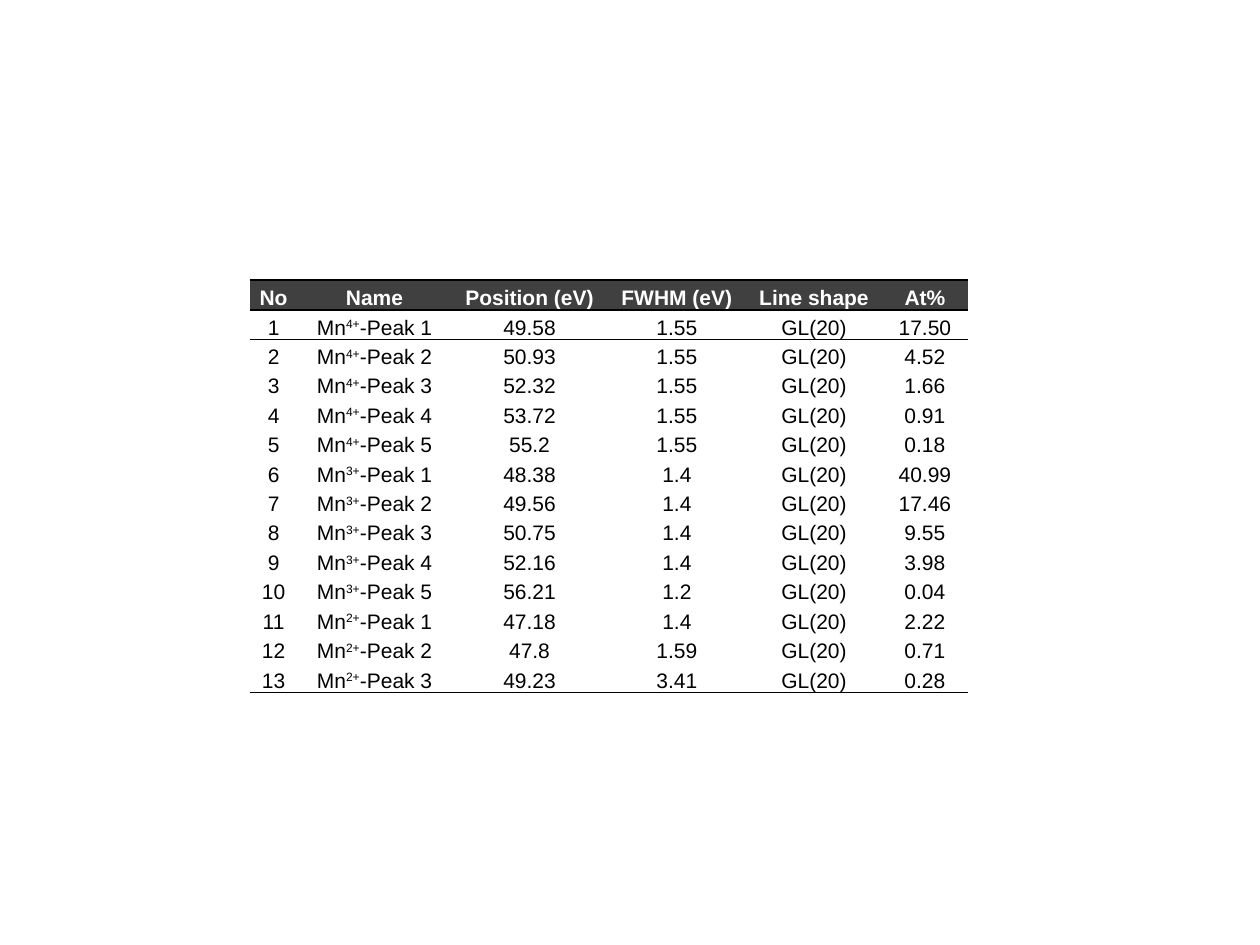
from lxml.etree import SubElement
from pptx import Presentation
from pptx.dml.color import RGBColor
from pptx.enum.text import MSO_ANCHOR, PP_ALIGN
from pptx.oxml.ns import qn
from pptx.util import Cm, Pt

COLORS = {"head": "404040", "light": "FFFFFF", "dark": "000000"}
PLAIN = "{2D5ABB26-0587-4C30-8999-92F81FD0307C}"
WIDTHS = [0.97, 3.1, 3.15, 2.79, 2.74, 1.73]
HEADS = ["No", "Name", "Position (eV)", "FWHM (eV)", "Line shape", "At%"]
PEAKS = {
    "4+": [("49.58", "1.55", "17.50"), ("50.93", "1.55", "4.52"),
           ("52.32", "1.55", "1.66"), ("53.72", "1.55", "0.91"),
           ("55.2", "1.55", "0.18")],
    "3+": [("48.38", "1.4", "40.99"), ("49.56", "1.4", "17.46"),
           ("50.75", "1.4", "9.55"), ("52.16", "1.4", "3.98"),
           ("56.21", "1.2", "0.04")],
    "2+": [("47.18", "1.4", "2.22"), ("47.8", "1.59", "0.71"),
           ("49.23", "3.41", "0.28")],
}
LABEL = {
    "cell": {"vertical_anchor": MSO_ANCHOR.MIDDLE, "margin_left": Cm(0.05),
             "margin_right": Cm(0.05), "margin_top": 0, "margin_bottom": 0},
    "para": {"alignment": PP_ALIGN.CENTER, "line_spacing": 1.25,
             "space_before": Pt(0.1), "space_after": Pt(0.1)},
}
NUMBER = {
    "cell": {"vertical_anchor": MSO_ANCHOR.BOTTOM, "margin_left": Cm(0.02),
             "margin_right": Cm(0.02), "margin_top": Cm(0.02),
             "margin_bottom": 0},
    "para": {"alignment": PP_ALIGN.CENTER},
}
FORMATS = [LABEL, LABEL, NUMBER, NUMBER, LABEL, NUMBER]


def apply(item, values):
    for name, value in values.items():
        setattr(item, name, value)


class Page:
    def __init__(self, deck):
        self.slide = deck.slides.add_slide(deck.slide_layouts[6])
        self.font = {"name": "Arial", "size": Pt(12)}

    def border(self, cell, side, width):
        line = SubElement(cell._tc.get_or_add_tcPr(), qn(f"a:ln{side}"),
                          w=str(Pt(width)))
        fill = SubElement(line, qn("a:solidFill"))
        SubElement(fill, qn("a:srgbClr"), val=COLORS["dark"])

    def text(self, cell, runs, style, head):
        apply(cell, style["cell"])
        para = cell.text_frame.paragraphs[0]
        apply(para, style["para"])
        for order, words in enumerate(runs):
            run = para.add_run()
            run.text = words
            apply(run.font, {**self.font, "bold": head})
            color = COLORS["light" if head else "dark"]
            run.font.color.rgb = RGBColor.from_string(color)
            if order == 1:
                run.font._element.set("baseline", "30000")

    def table(self, rows, left, top, widths, first, other):
        heights = [first] + [other] * (len(rows) - 1)
        frame = self.slide.shapes.add_table(
            len(rows), len(widths), Cm(left), Cm(top),
            Cm(sum(widths)), Cm(sum(heights)))
        grid = frame.table
        apply(grid, {"first_row": False, "horz_banding": False})
        grid._tbl.tblPr.find(qn("a:tableStyleId")).text = PLAIN
        for column, width in zip(grid.columns, widths):
            column.width = Cm(width)
        for r, (row, height) in enumerate(zip(rows, heights)):
            grid.rows[r].height = Cm(height)
            head = r == 0
            for c, runs in enumerate(row):
                cell = grid.cell(r, c)
                self.text(cell, runs, LABEL if head else FORMATS[c], head)
                if r < 2:
                    self.border(cell, "T", 1)
                if head:
                    self.border(cell, "B", 1)
                    cell.fill.solid()
                    cell.fill.fore_color.rgb = RGBColor.from_string(COLORS["head"])
                else:
                    if r == len(rows) - 1:
                        self.border(cell, "B", 0.5)
                    cell.fill.background()


def main():
    deck = Presentation()
    apply(deck, {"slide_width": Cm(25.4), "slide_height": Cm(19.05)})
    rows = [[[head] for head in HEADS]]
    for charge, peaks in PEAKS.items():
        for peak, (place, width, share) in enumerate(peaks, 1):
            rows.append([[str(len(rows))], ["Mn", charge, f"-Peak {peak}"],
                         [place], [width], ["GL(20)"], [share]])
    Page(deck).table(rows, 5.03, 5.64, WIDTHS, 0.61, 0.48)
    deck.save("out.pptx")


if __name__ == "__main__":
    main()
